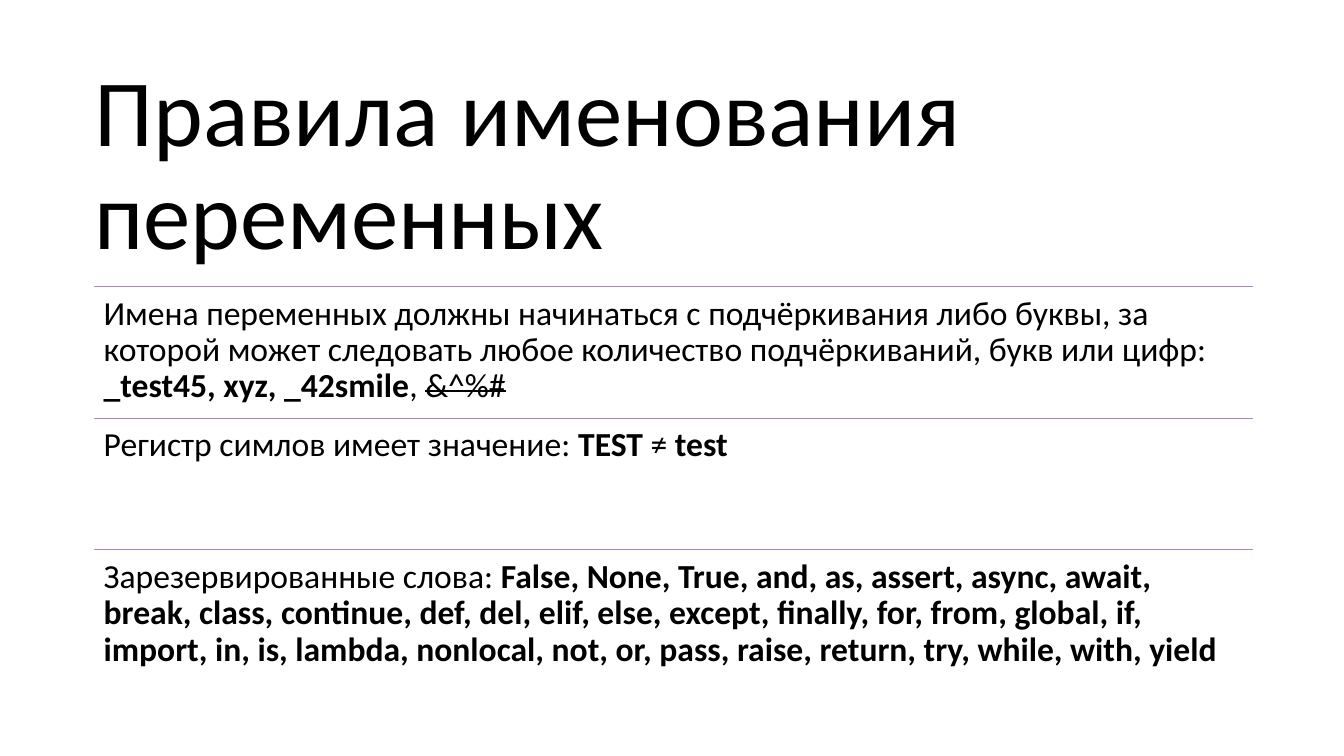
from dataclasses import dataclass

import lxml.etree
import pptx
import pptx.dml.color
import pptx.enum.shapes
import pptx.enum.text
import pptx.oxml.ns
import pptx.shapes.autoshape
import pptx.shapes.connector
import pptx.shapes.shapetree
import pptx.util

Pt = pptx.util.Pt
BLACK = pptx.dml.color.RGBColor(0x00, 0x00, 0x00)
PURPLE = pptx.dml.color.RGBColor(0xAD, 0x84, 0xC6)
FONT = "Calibri"
LEFT, WIDTH = 67, 828
TOP, PITCH = 204.5, 94
SIDES = ("margin_left", "margin_top", "margin_right", "margin_bottom")


@dataclass(frozen=True)
class Piece:
    text: str
    bold: bool = False
    struck: bool = False


@dataclass(frozen=True)
class Block:
    left: float
    top: float
    height: float
    size: float
    inset: float
    anchor: pptx.enum.text.MSO_ANCHOR
    words: tuple[Piece, ...]


RULES = (
    (
        Piece("Имена переменных должны начинаться с подчёркивания либо буквы, "
              "за которой может следовать любое количество подчёркиваний, "
              "букв или цифр: "),
        Piece("_test45, xyz, _42smile", bold=True),
        Piece(", "),
        Piece("&^%#", struck=True),
    ),
    (
        Piece("Регистр симлов имеет значение: "),
        Piece("TEST", bold=True),
        Piece(" ≠ "),
        Piece("test", bold=True),
    ),
    (
        Piece("Зарезервированные слова: "),
        Piece("False, None, True, and, as, assert, async, await, break, class, "
              "continue, def, del, elif, else, except, finally, for, from, "
              "global, if, import, in, is, lambda, nonlocal, not, or, pass, "
              "raise, return, try, while, with, yield", bold=True),
    ),
)


def add_block(shapes: pptx.shapes.shapetree.SlideShapes,
              block: Block) -> pptx.shapes.autoshape.Shape:
    box = shapes.add_textbox(Pt(block.left), Pt(block.top),
                             Pt(WIDTH), Pt(block.height))
    frame = box.text_frame
    style = {"word_wrap": True, "vertical_anchor": block.anchor}
    style.update({side: Pt(block.inset) for side in SIDES})
    for name, value in style.items():
        setattr(frame, name, value)
    para = frame.paragraphs[0]
    para.line_spacing = 0.9
    for piece in block.words:
        run = para.add_run()
        run.text = piece.text
        looks = {"name": FONT, "size": Pt(block.size), "bold": piece.bold}
        for name, value in looks.items():
            setattr(run.font, name, value)
        run.font.color.rgb = BLACK
        if piece.struck:
            run._r.get_or_add_rPr().set("strike", "sngStrike")
    return box


def add_line(shapes: pptx.shapes.shapetree.SlideShapes,
             top: float) -> pptx.shapes.connector.Connector:
    """Draw a thin line across the text column, with a soft shadow below."""
    line = shapes.add_connector(pptx.enum.shapes.MSO_CONNECTOR.STRAIGHT,
                                Pt(LEFT), Pt(top), Pt(LEFT + WIDTH), Pt(top))
    line.line.color.rgb = PURPLE
    line.line.width = Pt(0.5)
    tag = pptx.oxml.ns.qn
    props = line.element.find(tag("p:spPr"))
    effects = lxml.etree.SubElement(props, tag("a:effectLst"))
    shade = lxml.etree.SubElement(
        effects, tag("a:outerShdw"), blurRad=str(Pt(4.5)), dist=str(Pt(1.5)),
        dir="5400000", algn="ctr", rotWithShape="0")
    tint = lxml.etree.SubElement(shade, tag("a:srgbClr"), val=str(BLACK))
    lxml.etree.SubElement(tint, tag("a:alpha"), val="63000")
    return line


def main() -> None:
    deck = pptx.Presentation()
    deck.slide_width, deck.slide_height = Pt(960), Pt(540)
    shapes = deck.slides.add_slide(deck.slide_layouts[6]).shapes
    anchor = pptx.enum.text.MSO_ANCHOR
    add_block(shapes, Block(67.5, 88, 104.5, 67.7, 0, anchor.BOTTOM,
                            (Piece("Правила именования переменных"),)))
    for row, words in enumerate(RULES):
        top = TOP + row * PITCH
        add_line(shapes, top)
        add_block(shapes, Block(LEFT, top, PITCH, 24, 7.2, anchor.TOP, words))
    deck.save("out.pptx")


if __name__ == "__main__":
    main()
